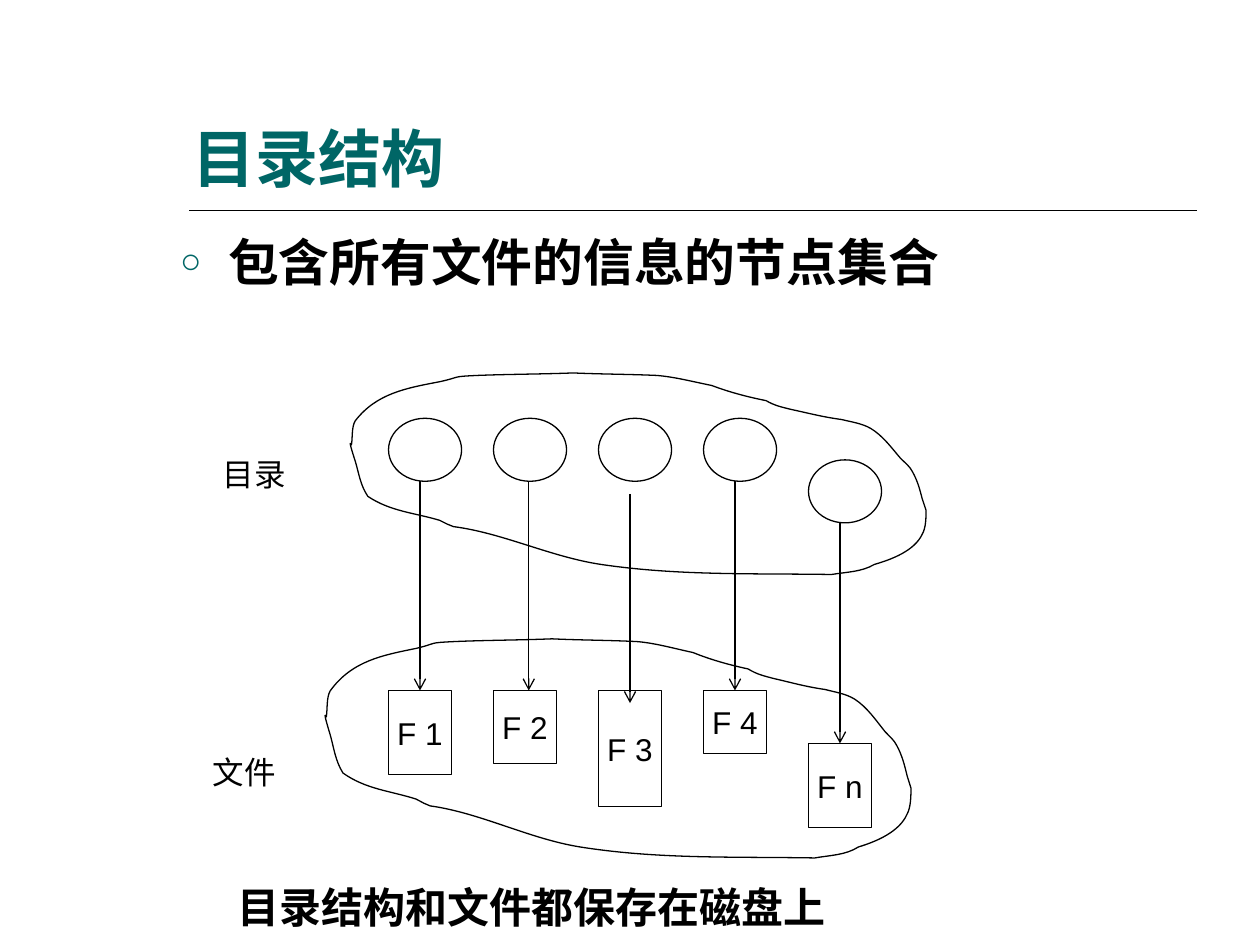
from collections import namedtuple

from lxml import etree
from pptx import Presentation
from pptx import util as u
from pptx.dml.color import RGBColor
from pptx.enum import shapes, text
from pptx.oxml import ns

BLACK, WHITE, TEAL = "000000", "FFFFFF", "006666"
THIN, RULE = 0.75, 1  # line widths in points

# Diagram grid in inches: one column for each file
COLUMN_STEP = 5 / 6
FIRST_COLUMN = 3.7 * COLUMN_STEP
NODE_TOP, NODE_WIDTH, NODE_HEIGHT = 3.32, 0.58, 0.5
FILE_TOP, FILE_WIDTH = 5.48, 0.5

# Drops lower a node or file; arrow_right and arrow_down shift the arrow
Column = namedtuple(
    "Column", "name file_height node_drop file_drop arrow_right arrow_down",
    defaults=(0, 0, 0, 0))
COLUMNS = [
    Column("F 1", 0.67),
    Column("F 2", 0.58, arrow_right=0.03),
    Column("F 3", 0.92, arrow_down=0.1),
    Column("F 4", 0.5),
    Column("F n", 0.67, node_drop=0.33, file_drop=0.42),
]

# Both groups have the same outline, stretched to their own box
Group = namedtuple("Group", "label label_left label_top outline_box")
GROUPS = [
    Group("目录", 1.67, 3.56, (2.78, 2.96, 4.58, 1.61)),
    Group("文件", 1.59, 5.93, (2.58, 5.07, 4.66, 1.75)),
]
LABEL_SIZE = (0.7, 0.4)

# The outline on its own grid; each row is one Bezier curve: two handles, then its end
OUTLINE_COLUMNS, OUTLINE_ROWS = 458, 161
OUTLINE_START = (1, 57)
OUTLINE_CURVES = [
    # Up the left side and along the top
    [(2, 51), (1, 43), (4, 38)],
    [(21, 16), (45, 12), (71, 7)],
    [(89, 3), (79, 3), (101, 2)],
    [(126, 1), (151, 1), (177, 0)],
    [(199, 1), (221, 1), (243, 2)],
    # Down the slope to the right end
    [(257, 3), (272, 7), (287, 10)],
    [(300, 15), (315, 19), (330, 22)],
    [(337, 26), (342, 27), (350, 29)],
    [(364, 32), (375, 35), (390, 37)],
    [(398, 39), (406, 40), (413, 44)],
    [(423, 50), (430, 60), (437, 68)],
    [(440, 71), (444, 74), (446, 78)],
    [(450, 85), (452, 92), (454, 100)],
    [(455, 103), (457, 109), (457, 109)],
    # Round the right end and back along the bottom
    [(457, 114), (457, 123), (454, 128)],
    [(448, 141), (430, 148), (416, 152)],
    [(406, 158), (394, 158), (382, 160)],
    [(318, 159), (260, 161), (199, 152)],
    [(159, 146), (121, 127), (82, 122)],
    [(80, 121), (79, 121), (77, 120)],
    [(75, 119), (73, 118), (71, 117)],
    [(51, 111), (32, 110), (14, 98)],
    # Up to the start
    [(8, 89), (7, 80), (4, 70)],
    [(4, 70), (0, 58), (0, 56)],
    [(0, 55), (1, 57), (1, 57)],
]


def color(value):
    return RGBColor.from_string(value)


def inches(*values):
    return [u.Inches(value) for value in values]


def place(placeholder, *box):
    (placeholder.left, placeholder.top,
     placeholder.width, placeholder.height) = inches(*box)


def add_bullet(paragraph, sign, hue, percent, indent):
    props = paragraph._p.get_or_add_pPr()
    props.set("marL", str(u.Inches(indent)))
    props.set("indent", str(-u.Inches(indent)))
    bullet_color = etree.SubElement(props, ns.qn("a:buClr"))
    etree.SubElement(bullet_color, ns.qn("a:srgbClr"), val=hue)
    etree.SubElement(props, ns.qn("a:buSzPct"), val=str(percent * 1000))
    etree.SubElement(props, ns.qn("a:buChar"), char=sign)


def write(holder, words, size, font="Arial", hue=BLACK, bold=False,
          anchor=text.MSO_ANCHOR.TOP, bullet=None):
    frame = holder.text_frame
    frame.text = words  # replaces the paragraph, so its format comes after
    frame.auto_size = text.MSO_AUTO_SIZE.NONE
    frame.word_wrap = True
    frame.vertical_anchor = anchor
    paragraph = frame.paragraphs[0]
    paragraph.alignment = text.PP_ALIGN.LEFT
    paragraph.space_before = u.Pt(0)
    if bullet:
        add_bullet(paragraph, **bullet)
    paragraph.font.size = u.Pt(size)
    paragraph.font.name = font
    paragraph.font.bold = bold
    paragraph.font.color.rgb = color(hue)
    return paragraph


def write_centred(holder, words):
    paragraph = write(holder, words, 18, anchor=text.MSO_ANCHOR.MIDDLE)
    paragraph.alignment = text.PP_ALIGN.CENTER
    holder.text_frame.word_wrap = False


def draw_edge(item, width=THIN):
    item.line.color.rgb = color(BLACK)
    item.line.width = u.Pt(width)


def add_line(slide, start, end, width=THIN):
    line = slide.shapes.add_connector(
        shapes.MSO_CONNECTOR.STRAIGHT, *inches(*start, *end))
    draw_edge(line, width)
    etree.SubElement(line._element.spPr, ns.qn("a:effectLst"))
    return line


def add_arrow(slide, start, end):
    arrow = add_line(slide, start, end)
    edge = arrow._element.spPr.find(ns.qn("a:ln"))
    etree.SubElement(edge, ns.qn("a:tailEnd"), type="arrow")
    return arrow


def add_box(slide, preset, *box):
    shape = slide.shapes.add_shape(preset, *inches(*box))
    shape.shadow.inherit = False
    shape.fill.solid()
    shape.fill.fore_color.rgb = color(WHITE)
    draw_edge(shape)
    return shape


def add_outline(slide, left, top, width, height):
    scale = (u.Inches(width) / OUTLINE_COLUMNS, u.Inches(height) / OUTLINE_ROWS)
    builder = slide.shapes.build_freeform(*OUTLINE_START, scale=scale)
    builder.add_line_segments(sum(OUTLINE_CURVES, []), close=True)
    outline = builder.convert_to_shape(*inches(left, top))
    outline.shadow.inherit = False
    outline.fill.background()
    draw_edge(outline)

    # Merge each three straight segments into one Bezier curve
    segments = list(outline._element.iter(ns.qn("a:lnTo")))
    for triple in zip(*[iter(segments)] * 3):
        curve = etree.Element(ns.qn("a:cubicBezTo"))
        triple[0].addprevious(curve)
        for segment in triple:
            curve.append(segment[0])
            segment.getparent().remove(segment)


def add_column(slide, left, column):
    node_top = NODE_TOP + column.node_drop
    file_top = FILE_TOP + column.file_drop

    add_box(slide, shapes.MSO_SHAPE.OVAL, left, node_top, NODE_WIDTH, NODE_HEIGHT)
    file = add_box(slide, shapes.MSO_SHAPE.RECTANGLE,
                   left, file_top, FILE_WIDTH, column.file_height)
    write_centred(file, column.name)

    arrow_x = left + FILE_WIDTH / 2 + column.arrow_right
    arrow = add_arrow(slide, (arrow_x, node_top + NODE_HEIGHT + column.arrow_down),
                      (arrow_x, file_top + column.arrow_down))
    if not (column.arrow_right or column.arrow_down):
        arrow.end_connect(file, 0)


def add_group(slide, group):
    add_outline(slide, *group.outline_box)
    label = slide.shapes.add_textbox(
        *inches(group.label_left, group.label_top, *LABEL_SIZE))
    write_centred(label, group.label)


def main():
    deck = Presentation()
    deck.slide_width, deck.slide_height = inches(10, 7.5)
    slide = deck.slides.add_slide(deck.slide_layouts[1])

    # Title and the rule under it
    title = slide.shapes.title
    place(title, 1.43, 0.75, 8.45, 0.85)
    heading = write(title, "目录结构", 36, hue=TEAL, bold=True,
                    anchor=text.MSO_ANCHOR.BOTTOM)
    heading.line_spacing = 1.2
    add_line(slide, (1.5, 1.67), (9.5, 1.67), RULE)

    # Definition
    definition = slide.placeholders[1]
    place(definition, 1.33, 1.78, 7.69, 1.65)
    write(definition, "包含所有文件的信息的节点集合", 29, font="DejaVu Sans", bold=True,
          bullet=dict(sign="○", hue=TEAL, percent=70, indent=0.38))

    # Diagram: each directory node points to its file
    for index, column in enumerate(COLUMNS):
        add_column(slide, FIRST_COLUMN + index * COLUMN_STEP, column)
    for group in GROUPS:
        add_group(slide, group)

    # Closing remark
    remark = slide.shapes.add_textbox(*inches(1.79, 6.95, 8.4, 0.81))
    write(remark, "目录结构和文件都保存在磁盘上", 24, bold=True)

    deck.save("out.pptx")


if __name__ == "__main__":
    main()
